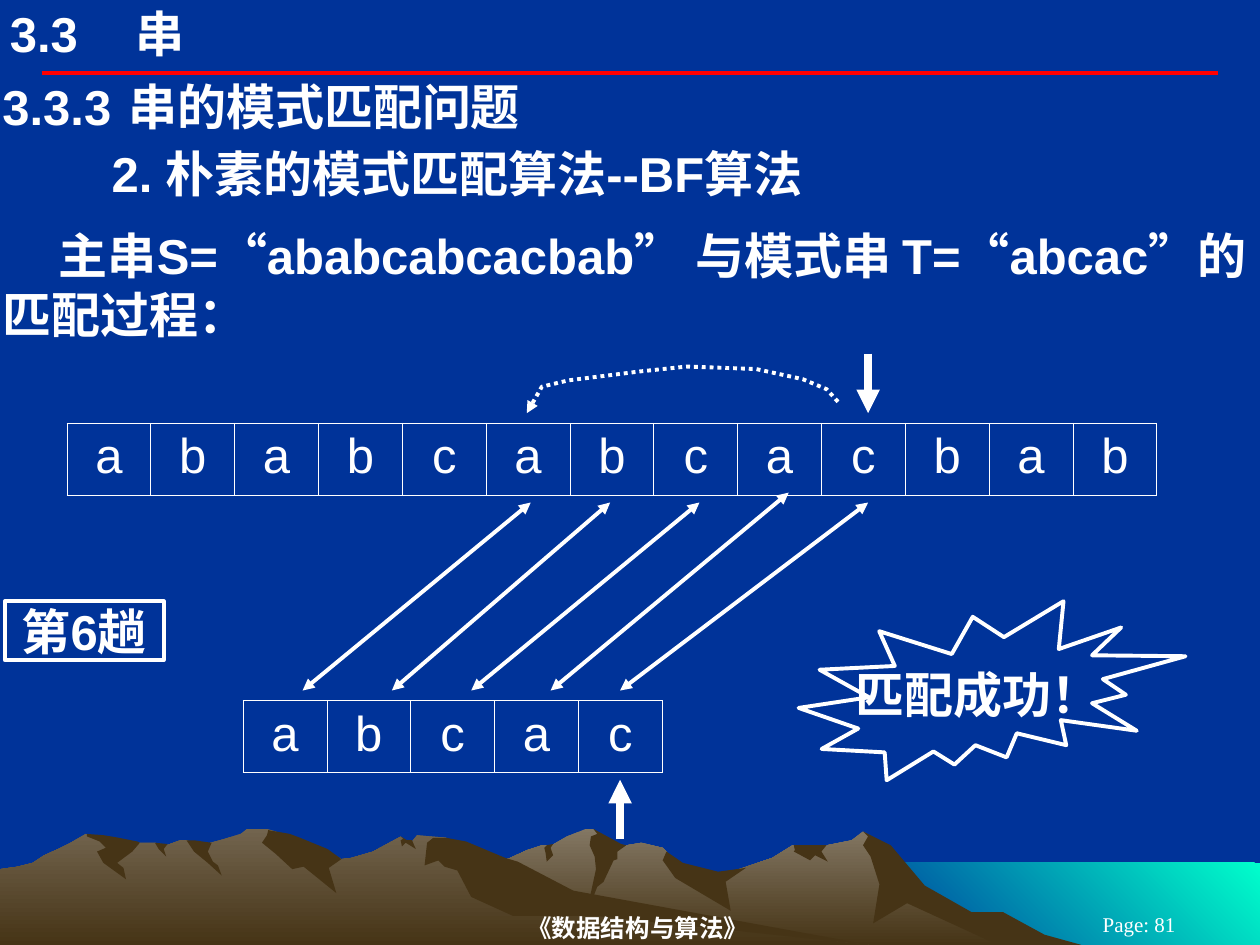
from lxml import etree
from pptx import Presentation
from pptx.dml.color import RGBColor
from pptx.enum.dml import MSO_LINE
from pptx.enum.shapes import MSO_CONNECTOR, MSO_SHAPE
from pptx.enum.text import MSO_ANCHOR, PP_ALIGN
from pptx.oxml.ns import qn
from pptx.util import Cm, Pt

STRAIGHT = MSO_CONNECTOR.STRAIGHT
RECTANGLE, BURST = MSO_SHAPE.RECTANGLE, MSO_SHAPE.EXPLOSION2
ROUND_DOT = MSO_LINE.ROUND_DOT
MIDDLE, TOP = MSO_ANCHOR.MIDDLE, MSO_ANCHOR.TOP
LEFT, CENTER = PP_ALIGN.LEFT, PP_ALIGN.CENTER
WHITE, NAVY, RED, TURQUOISE = "FFFFFF", "003399", "FF0000", "00FFCC"
EARTH, SAND, STONE = "463416", "837763", "72644E"
OUTLINE_UNIT = Cm(0.0254)
CELL_WIDTH, CELL_HEIGHT = 1.69, 1.45

SEA = [(683, 27), (1000, 27), (1000, 92), (683, 92)]
RIGHT_RANGE = [
    (802, 82), (778, 69), (764, 65), (723, 40), (702, 13), (685, 2), (676, 9), (656, 13),
    (629, 13), (613, 23), (566, 39), (536, 32), (529, 18), (526, 15), (509, 11), (497, 13),
    (486, 15), (474, 3), (471, 0), (465, 0), (450, 6), (438, 13), (430, 13), (418, 17),
    (405, 23), (394, 27), (355, 40), (327, 51), (277, 81), (258, 92), (821, 92)]
LEFT_RANGE = [
    (690, 92), (667, 90), (432, 54), (354, 7), (331, 5), (327, 10), (323, 10), (318, 6),
    (296, 18), (279, 23), (271, 24), (260, 18), (236, 23), (223, 5), (219, 2), (212, 0),
    (196, 0), (191, 4), (178, 8), (160, 13), (148, 9), (143, 9), (132, 13), (123, 11),
    (111, 11), (94, 13), (68, 4), (56, 11), (46, 16), (35, 21), (26, 27), (14, 30),
    (0, 32), (0, 92)]
RIGHT_SHADES = [
    [(796, 66), (771, 66), (734, 45), (707, 13), (685, 2), (689, 6), (685, 13), (691, 22),
     (698, 44), (693, 75), (720, 59), (792, 92), (858, 92), (829, 84)],
    [(471, 0), (474, 4), (469, 6), (468, 13), (472, 22), (473, 32), (465, 69), (474, 46),
     (479, 42), (487, 25), (490, 24), (490, 18), (497, 13), (493, 12)],
    [(529, 18), (526, 25), (536, 39), (580, 65), (576, 42), (592, 31), (570, 34), (542, 27)],
    [(650, 13), (630, 13), (631, 17), (630, 18), (643, 25), (647, 21), (657, 26), (652, 18),
     (656, 13)],
    [(433, 19), (432, 15), (434, 13), (439, 12), (437, 15), (439, 21), (434, 26)]]
LEFT_SHADES = [
    [(212, 5), (208, 11), (219, 20), (232, 32), (241, 30), (267, 51), (261, 31), (271, 24),
     (260, 16), (238, 7), (230, 4), (213, 1)],
    [(370, 10), (354, 7), (344, 7), (339, 11), (337, 29), (348, 25), (353, 30), (363, 33),
     (374, 54), (407, 69), (472, 69), (690, 92), (455, 49), (411, 26), (401, 23)],
    [(318, 9), (320, 8), (318, 6), (323, 9), (327, 9), (330, 16), (322, 11), (319, 14)],
    [(154, 9), (168, 11), (165, 18), (169, 26), (173, 29), (176, 37), (165, 27), (154, 18),
     (148, 9)],
    [(133, 12), (130, 16), (132, 22), (126, 16), (123, 11)],
    [(109, 10), (111, 11), (105, 18), (93, 27), (98, 31), (100, 40), (82, 27), (77, 18),
     (84, 15), (79, 10), (69, 6), (69, 4), (82, 5), (94, 7)]]
JUMP_BACK = [(247, 28), (238, 18), (219, 10), (182, 2), (127, 0), (89, 4), (33, 11),
             (12, 16), (0, 37)]
MATCHES = [(10.7, 10.13, 6.1), (12.3, 10.13, 7.9), (14.1, 10.13, 9.5),
           (15.9, 9.93, 11.1), (17.5, 10.13, 12.5)]


def color(value):
    """Turn a hex string into a colour."""
    return RGBColor.from_string(value)


def format_text(frame, text, size=28, bold=True, font="Arial", align=LEFT):
    """Write one paragraph into a text frame and return it."""
    frame.text = text
    paragraph = frame.paragraphs[0]
    paragraph.alignment = align
    for run in paragraph.runs:
        run.font.size, run.font.bold, run.font.name = Pt(size), bold, font
        run.font.color.rgb = color(WHITE)
    return paragraph


def add_text(slide, box, text, inset=(0.05, 0.03), anchor=TOP, indent=0, tab=None, **style):
    """Add a text box with an optional first-line indent and tab stop."""
    frame = slide.shapes.add_textbox(*map(Cm, box)).text_frame
    frame.word_wrap, frame.vertical_anchor = True, anchor
    frame.margin_left = frame.margin_right = Cm(inset[0])
    frame.margin_top = frame.margin_bottom = Cm(inset[1])
    properties = format_text(frame, text, **style)._p.get_or_add_pPr()
    properties.set("marL", "0")
    properties.set("indent", str(Cm(indent)))
    if tab:
        stops = etree.SubElement(properties, qn("a:tabLst"))
        etree.SubElement(stops, qn("a:tab"), pos=str(Cm(tab)), algn="l")


def add_arrowheads(shape, *ends):
    """Put triangles on the named ends of a line."""
    line = shape._element.spPr.find(qn("a:ln"))
    for end in ends:
        etree.SubElement(line, qn(f"a:{end}"), type="triangle")


def add_line(slide, start, end, value=WHITE, width=2.25, ends=()):
    """Draw a straight line between two points."""
    line = slide.shapes.add_connector(STRAIGHT, *map(Cm, start + end))
    line.line.color.rgb, line.line.width = color(value), Pt(width)
    add_arrowheads(line, *ends)
    etree.SubElement(line._element.spPr, qn("a:effectLst"))


def add_outline(slide, origin, points, close=True):
    """Build a freeform from points relative to an origin."""
    builder = slide.shapes.build_freeform(*points[0], scale=OUTLINE_UNIT)
    builder.add_line_segments(points[1:], close=close)
    shape = builder.convert_to_shape(*map(Cm, origin))
    shape.shadow.inherit = False
    return shape


def add_land(slide, origin, points, colors, angle=270):
    """Add a borderless outline in one colour or a gradient of two."""
    shape = add_outline(slide, origin, points)
    shape.line.fill.background()
    if len(colors) == 1:
        shape.fill.solid()
        shape.fill.fore_color.rgb = color(colors[0])
        return
    shape.fill.gradient()
    shape.fill.gradient_angle = angle
    for stop, value in zip(shape.fill.gradient_stops, colors):
        stop.color.rgb = color(value)


def add_landscape(slide, origin):
    """Draw the sea and the two mountain ranges."""
    add_land(slide, origin, SEA, [TURQUOISE, NAVY], angle=225)
    for ridge, light, shades in ((RIGHT_RANGE, SAND, RIGHT_SHADES),
                                 (LEFT_RANGE, STONE, LEFT_SHADES)):
        add_land(slide, origin, ridge, [light, EARTH])
        for shade in shades:
            add_land(slide, origin, shade, [EARTH])


def add_footer(slide, left, top):
    """Write the book title and the page number."""
    add_text(slide, (left, top, 15.4, 0.71), "《数据结构与算法》", inset=(0, 0.03),
             anchor=MIDDLE, size=14, font="Times New Roman", align=CENTER)
    add_text(slide, (left + 15.8, top + 0.08, 4.01, 0.43), "Page: 81", inset=(0.25, 0.13),
             anchor=MIDDLE, size=12, bold=False, font="Times New Roman", align=CENTER)


def add_headings(slide, left, top):
    """Write the chapter, the section and the problem above the diagram."""
    add_line(slide, (left + 0.84, top + 1.47), (left + 24.56, top + 1.47), RED)
    add_text(slide, (left + 0.2, top + 0.08, 16.51, 1.19), "3.3\t串", inset=(0, 0), tab=2.13)
    add_text(slide, (left, top + 1.52, 25.4, 1.24), "3.3.3\t串的模式匹配问题", tab=2.94)
    add_text(slide, (left, top + 2.87, 25.4, 1.24), "2. 朴素的模式匹配算法--BF算法", indent=2.2)
    add_text(slide, (left, top + 4.52, 25.4, 2.44),
             "主串S=“ababcabcacbab”\t与模式串 T=“abcac”的匹配过程：", indent=1.14, tab=15.06)


def add_string(slide, left, top, letters):
    """Show a string as a one-row table with a cell for each letter."""
    width = CELL_WIDTH * len(letters)
    frame = slide.shapes.add_table(1, len(letters), Cm(left), Cm(top), Cm(width), Cm(CELL_HEIGHT))
    table = frame.table
    table.first_row = table.horz_banding = False
    for column, letter in enumerate(letters):
        table.columns[column].width = Cm(CELL_WIDTH)
        cell = table.cell(0, column)
        format_text(cell.text_frame, letter, bold=False, align=CENTER)
        cell.fill.background()
        properties = cell._tc.get_or_add_tcPr()
        for index, side in enumerate(("lnL", "lnR", "lnT", "lnB")):
            border = etree.Element(qn(f"a:{side}"), w=str(Pt(0.45)))
            fill = etree.SubElement(border, qn("a:solidFill"))
            etree.SubElement(fill, qn("a:srgbClr"), val=WHITE)
            properties.insert(index, border)


def add_label(slide, kind, box, text):
    """Add an outlined shape with a centred caption."""
    shape = slide.shapes.add_shape(kind, *map(Cm, box))
    shape.shadow.inherit = False
    shape.fill.solid()
    shape.fill.fore_color.rgb = color(NAVY)
    shape.line.color.rgb, shape.line.width = color(WHITE), Pt(2.25)
    shape.text_frame.word_wrap = False
    shape.text_frame.vertical_anchor = MIDDLE
    format_text(shape.text_frame, text, align=CENTER)


def add_matching(slide, left, top):
    """Show the sixth pass with both strings, matches and pointers."""
    add_string(slide, left + 1.35, top + 1.4, "ababcabcacbab")
    add_string(slide, left + 4.9, top + 6.99, "abcac")
    for text_x, text_y, pattern_x in MATCHES:
        add_line(slide, (left + text_x, top + text_y - 7.13), (left + pattern_x, top + 6.79),
                 ends=("headEnd", "tailEnd"))
    for x, start, end in ((12.5, 9.79, 8.59), (17.5, 0, 1.2)):
        add_line(slide, (left + x, top + start), (left + x, top + end), width=4.5,
                 ends=("tailEnd",))
    jump = add_outline(slide, (left + 10.62, top + 0.26), JUMP_BACK, close=False)
    jump.fill.background()
    jump.line.color.rgb, jump.line.width = color(WHITE), Pt(2.25)
    jump.line.dash_style = ROUND_DOT
    add_arrowheads(jump, "tailEnd")
    add_label(slide, BURST, (left + 16.1, top + 4.99, 7.8, 3.61), "匹配成功！")
    add_label(slide, RECTANGLE, (left + 0.1, top + 4.99, 3.2, 1.19), "第6趟")


def main():
    """Build the string matching slide."""
    presentation = Presentation()
    presentation.slide_width, presentation.slide_height = Cm(25.4), Cm(19.05)
    slide = presentation.slides.add_slide(presentation.slide_layouts[6])
    slide.background.fill.solid()
    slide.background.fill.fore_color.rgb = color(NAVY)
    add_landscape(slide, (0, 16.71))
    add_footer(slide, 5.16, 18.34)
    add_headings(slide, 0, 0)
    add_matching(slide, 0, 7.13)
    presentation.save("out.pptx")


if __name__ == "__main__":
    main()
